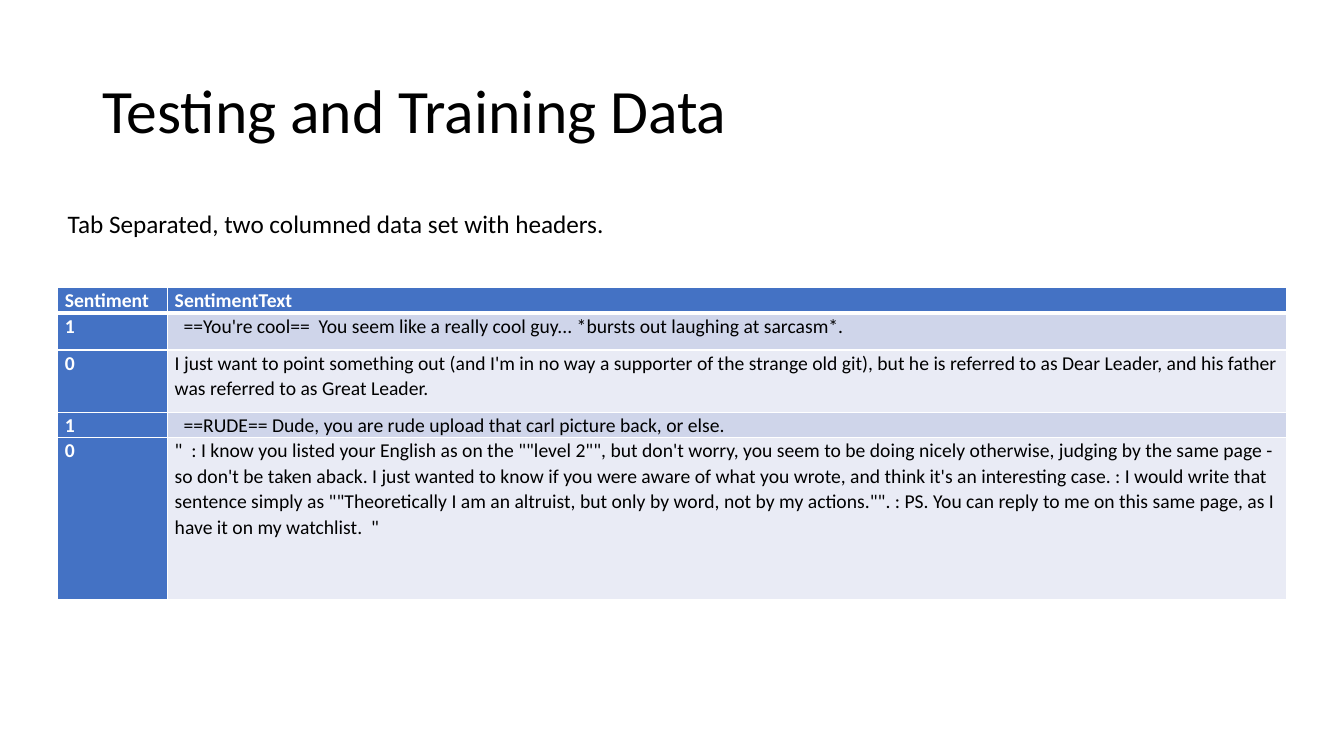
from pptx import Presentation
from pptx.dml.color import RGBColor
from pptx.enum.text import MSO_ANCHOR
from pptx.oxml.ns import qn
from pptx.util import Pt
from lxml import etree

MIDDLE, TOP = MSO_ANCHOR.MIDDLE, MSO_ANCHOR.TOP

BLACK = RGBColor(0x00, 0x00, 0x00)
WHITE = RGBColor(0xFF, 0xFF, 0xFF)
BLUE = RGBColor(0x44, 0x72, 0xC4)
BANDS = (RGBColor(0xCF, 0xD5, 0xEA), RGBColor(0xE9, 0xEB, 0xF5))

FONT = "Calibri"
COLUMN_WIDTHS = (78.5, 799.2)
ROW_HEIGHTS = (13, 26.6, 44.6, 17.3, 115.9)
CELL_INSET = 5.04
LEADING_GAP = 6.3

# Each row: sentiment, text, extra left indent of the text
SAMPLES = (
    ("Sentiment", "SentimentText", 0),
    ("1", "==You're cool==  You seem like a really cool guy... "
          "*bursts out laughing at sarcasm*.", LEADING_GAP),
    ("0", "I just want to point something out (and I'm in no way a supporter "
          "of the strange old git), but he is referred to as Dear Leader, and "
          "his father was referred to as Great Leader.", 0),
    ("1", "==RUDE== Dude, you are rude upload that carl picture back, "
          "or else.", LEADING_GAP),
    ("0", '"  : I know you listed your English as on the ""level 2"", but '
          "don't worry, you seem to be doing nicely otherwise, judging by the "
          "same page - so don't be taken aback. I just wanted to know if you "
          "were aware of what you wrote, and think it's an interesting case. "
          ': I would write that sentence simply as ""Theoretically I am an '
          'altruist, but only by word, not by my actions."". : PS. You can '
          'reply to me on this same page, as I have it on my watchlist.  "', 0),
)


def style_text(frame, size, color, bold=False, spacing=None):
    para = frame.paragraphs[0]
    para.line_spacing = spacing
    for span in para.runs:
        span.font.name = FONT
        span.font.size = Pt(size)
        span.font.bold = bold
        span.font.color.rgb = color


def add_text(page, text, left, top, width, height, size, wrap=True,
             anchor=TOP, spacing=None):
    box = page.shapes.add_textbox(Pt(left), Pt(top), Pt(width), Pt(height))
    frame = box.text_frame
    frame.text = text
    frame.word_wrap = wrap
    frame.vertical_anchor = anchor
    style_text(frame, size, BLACK, spacing=spacing)


def set_borders(cell, top, bottom):
    properties = cell._tc.get_or_add_tcPr()
    for side, width in (("L", 1), ("R", 1), ("T", top), ("B", bottom)):
        line = etree.SubElement(properties, qn(f"a:ln{side}"), w=str(Pt(width)))
        fill = etree.SubElement(line, qn("a:solidFill"))
        etree.SubElement(fill, qn("a:srgbClr"), val=str(WHITE))


def fill_cell(cell, text, row, is_label, indent):
    set_borders(cell, top=3 if row == 1 else 1, bottom=3 if row == 0 else 1)
    cell.fill.solid()
    cell.fill.fore_color.rgb = BLUE if is_label else BANDS[(row - 1) % 2]
    cell.margin_left = Pt(CELL_INSET + indent)
    cell.margin_right = Pt(CELL_INSET)
    cell.margin_top = cell.margin_bottom = Pt(0)
    cell.text_frame.text = text
    style_text(cell.text_frame, 14, WHITE if is_label else BLACK,
               bold=is_label, spacing=1.07)


def add_samples_table(page, left, top):
    table = page.shapes.add_table(
        len(SAMPLES), len(COLUMN_WIDTHS), Pt(left), Pt(top),
        Pt(sum(COLUMN_WIDTHS)), Pt(sum(ROW_HEIGHTS))).table
    table.first_col = True
    for column, width in zip(table.columns, COLUMN_WIDTHS):
        column.width = Pt(width)
    for row, (sentiment, text, indent) in enumerate(SAMPLES):
        table.rows[row].height = Pt(ROW_HEIGHTS[row])
        fill_cell(table.cell(row, 0), sentiment, row, True, 0)
        fill_cell(table.cell(row, 1), text, row, row == 0, indent)


def main():
    deck = Presentation()
    deck.slide_width, deck.slide_height = Pt(960), Pt(540)
    page = deck.slides.add_slide(deck.slide_layouts[6])

    # Title
    add_text(page, "Testing and Training Data", 66, 28.75, 828, 104.4, 44,
             anchor=MIDDLE, spacing=0.9)
    # Sample rows
    add_samples_table(page, 41.3, 205.4)
    # Description of the file
    add_text(page, "Tab Separated, two columned data set with headers.",
             41.3, 144.9, 400, 29, 18, wrap=False)

    deck.save("out.pptx")


if __name__ == "__main__":
    main()
